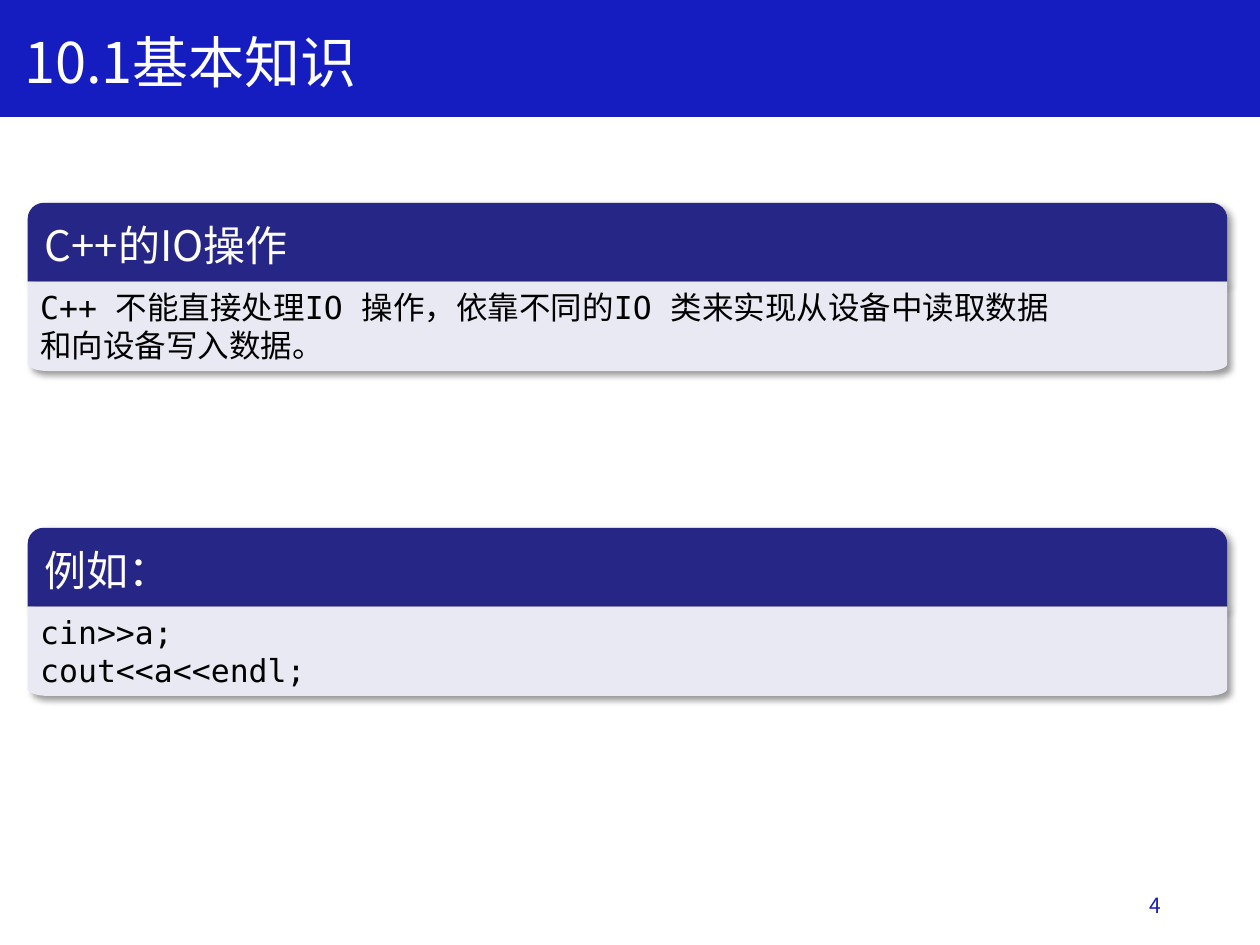
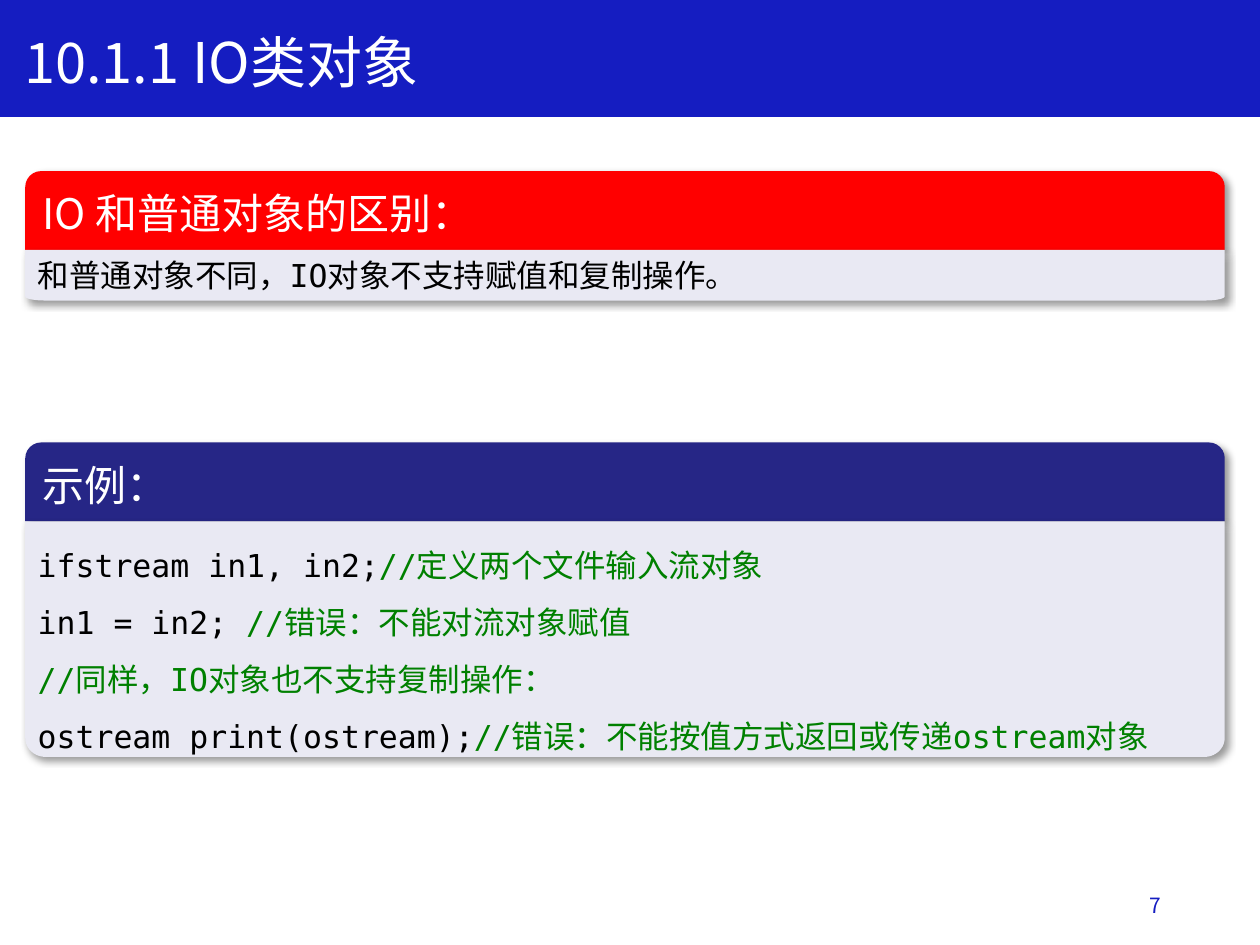
import math

import lxml.etree
import pptx
import pptx.dml.color
import pptx.enum.shapes
import pptx.enum.text
import pptx.oxml.ns
import pptx.util

Cm = pptx.util.Cm
ALIGN = pptx.enum.text.PP_ALIGN
ANCHOR = pptx.enum.text.MSO_ANCHOR
SHAPE = pptx.enum.shapes.MSO_SHAPE

# Shared style
SANS, MONO = "Noto Sans CJK SC", "DejaVu Sans Mono"
BLUE, NAVY, RED, PALE = "151DC1", "262686", "FF0000", "E9E9F3"
WHITE, BLACK, GREEN = "FFFFFF", "000000", "008000"
PAGE_WIDTH, PAGE_HEIGHT = 25.4, 19.05
BAND_HEIGHT = 2.34
BLOCK_WIDTH, HEADING_HEIGHT = 24.18, 1.59


def color(value):
    return pptx.dml.color.RGBColor.from_string(value)


def add_child(parent, tag, **attributes):
    child = lxml.etree.SubElement(parent, pptx.oxml.ns.qn(tag))
    for name, value in attributes.items():
        child.set(name, str(value))
    return child


def write(frame, lines, size, font=SANS, ink=BLACK, align=ALIGN.LEFT,
          anchor=ANCHOR.TOP, spacing=None):
    """Fill a frame; a line is a string or a list of (text, font, ink) spans."""
    frame.word_wrap = True
    frame.auto_size = pptx.enum.text.MSO_AUTO_SIZE.NONE
    frame.vertical_anchor = anchor
    for index, line in enumerate(lines):
        para = frame.add_paragraph() if index else frame.paragraphs[0]
        para.alignment = align
        if spacing:
            para.line_spacing = spacing
        spans = [(line, font, ink)] if isinstance(line, str) else line
        for text, span_font, span_ink in spans:
            span = para.add_run()
            span.text = text
            span.font.size = pptx.util.Pt(size)
            span.font.name = span_font
            span.font.color.rgb = color(span_ink)
            add_child(span.font._element, "a:ea", typeface=SANS)


def paint(shape, fill, shadow=False):
    shape.fill.solid()
    shape.fill.fore_color.rgb = color(fill)
    shape.line.fill.background()
    shape.shadow.inherit = False
    if shadow:
        effects = shape._element.spPr.find(pptx.oxml.ns.qn("a:effectLst"))
        outer = add_child(effects, "a:outerShdw", blurRad=pptx.util.Pt(4),
                          dist=pptx.util.Pt(3), dir=45 * 60000, algn="tl",
                          rotWithShape=0)
        shade = add_child(outer, "a:srgbClr", val=BLACK)
        add_child(shade, "a:alpha", val=40000)


class Lecture:
    def __init__(self):
        self.deck = pptx.Presentation()
        self.deck.slide_width = Cm(PAGE_WIDTH)
        self.deck.slide_height = Cm(PAGE_HEIGHT)
        self.page = None

    def start_page(self, title, number):
        """Add a page with its band, title and page number."""
        self.page = self.deck.slides.add_slide(self.deck.slide_layouts[5])
        heading = self.page.shapes.title
        band = self.page.shapes.add_shape(
            SHAPE.RECTANGLE, 0, 0, Cm(PAGE_WIDTH), Cm(BAND_HEIGHT))
        paint(band, BLUE)
        band.line.color.rgb = color(BLUE)
        band.line.width = pptx.util.Pt(1)
        heading._element.addprevious(band._element)

        heading.left, heading.top = Cm(0.23), Cm(0.43)
        heading.width, heading.height = Cm(11.86), Cm(1.63)
        write(heading.text_frame, [title], 32, ink=WHITE)

        box = self.page.shapes.add_textbox(Cm(17.93), Cm(17.73), Cm(5.72), Cm(1.02))
        write(box.text_frame, [str(number)], 12, ink=BLUE,
              align=ALIGN.RIGHT, anchor=ANCHOR.MIDDLE)

    def block(self, left, top, heading, lines, height, fill=NAVY, **style):
        """Group a round-topped heading with the text panel below it."""
        group = self.page.shapes.add_group_shape()
        head = group.shapes.add_shape(
            SHAPE.ROUND_2_SAME_RECTANGLE, Cm(left), Cm(top),
            Cm(BLOCK_WIDTH), Cm(HEADING_HEIGHT))
        head.adjustments[0], head.adjustments[1] = 0.2, 0
        paint(head, fill, shadow=True)
        write(head.text_frame, [heading], 24, ink=WHITE, anchor=ANCHOR.MIDDLE)
        panel = self.panel(group, left, top + HEADING_HEIGHT, height)
        write(panel.text_frame, lines, 18, font=MONO, **style)

    def panel(self, group, left, top, height):
        """Draw a panel whose lower corners are quarter ellipses."""
        right, bottom = left + BLOCK_WIDTH, top + height
        radius_x, radius_y = 0.41, 0.08 * height
        angles = [math.radians(step * 9) for step in range(11)]
        right_corner = [(right - radius_x * (1 - math.cos(angle)),
                         bottom - radius_y * (1 - math.sin(angle)))
                        for angle in angles]
        left_corner = [(left + right - x, y) for x, y in reversed(right_corner)]
        points = [(right, top)] + right_corner + left_corner
        outline = group.shapes.build_freeform(Cm(left), Cm(top))
        outline.add_line_segments([(Cm(x), Cm(y)) for x, y in points], close=True)
        panel = outline.convert_to_shape()
        paint(panel, PALE, shadow=True)
        return panel


def code(text):
    return text, MONO, BLACK


def mark(text):
    return text, MONO, GREEN


def note(text):
    return text, SANS, GREEN


lecture = Lecture()

# Basics of IO
lecture.start_page("10.1基本知识", 4)
lecture.block(0.56, 4.09, "C++的IO操作",
              ["C++ 不能直接处理IO 操作，依靠不同的IO 类来实现从设备中读取数据",
               "和向设备写入数据。"], 1.8, align=ALIGN.JUSTIFY)
lecture.block(0.56, 10.64, "例如：", ["cin>>a;", "cout<<a<<endl;"], 1.8,
              align=ALIGN.JUSTIFY)

# IO class objects
lecture.start_page("10.1.1 IO类对象", 7)
lecture.block(0.51, 3.45, "IO 和普通对象的区别：",
              ["和普通对象不同，IO对象不支持赋值和复制操作。"], 1.02, fill=RED)
lecture.block(0.51, 8.92, "示例：", [
    [code("ifstream in1, in2;"), mark("//"), note("定义两个文件输入流对象")],
    [code("in1 = in2; "), mark("//"), note("错误：不能对流对象赋值")],
    [mark("//"), note("同样，"), mark("IO"), note("对象也不支持复制操作：")],
    [code("ostream print(ostream);"), mark("//"),
     note("错误：不能按值方式返回或传递"), mark("ostream"), note("对象")],
], 4.75, spacing=1.5)

lecture.deck.save("out.pptx")
